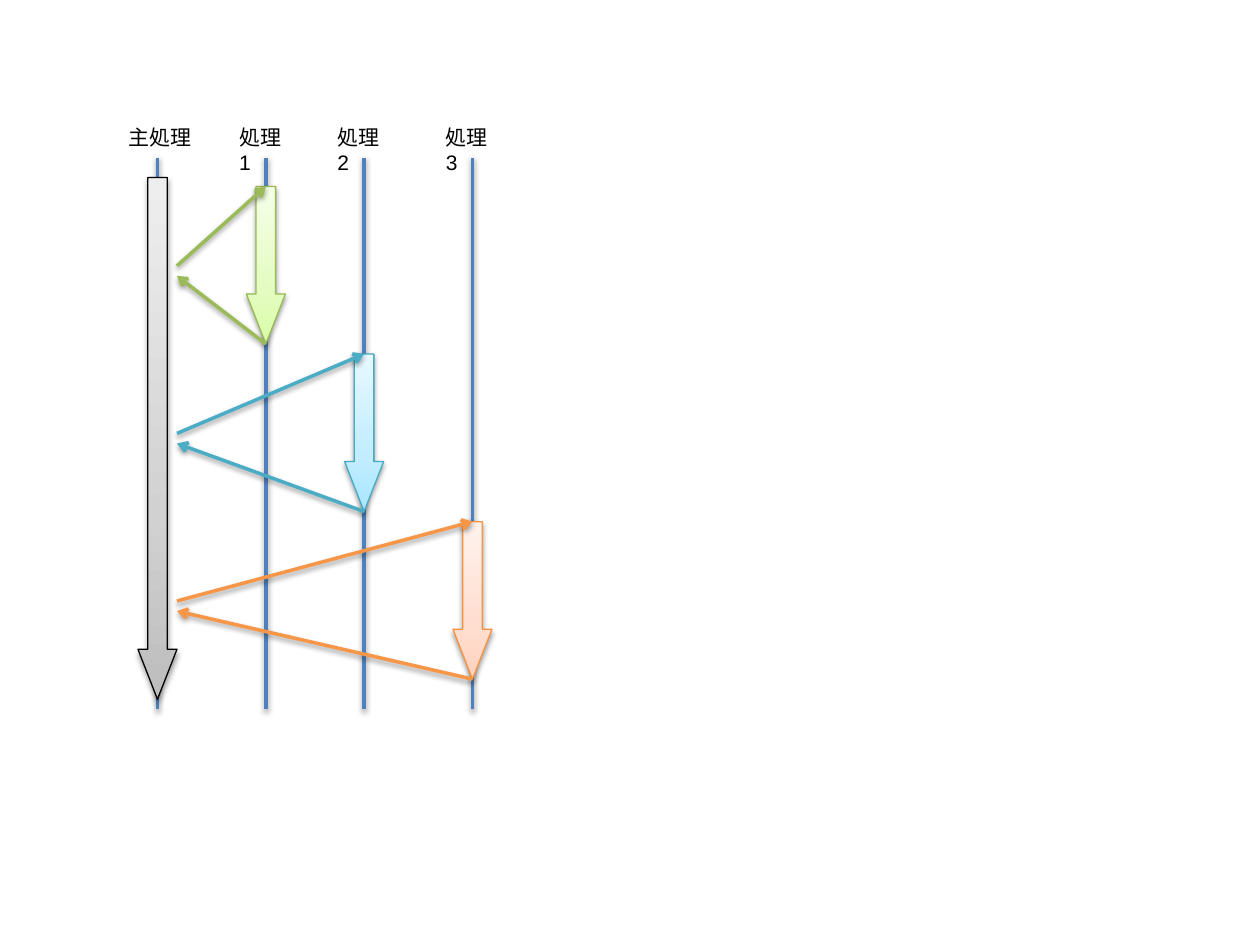
from lxml import etree
from pptx import Presentation
from pptx.dml.color import RGBColor
from pptx.enum.shapes import MSO_CONNECTOR, MSO_SHAPE
from pptx.oxml import parse_xml
from pptx.oxml.ns import nsdecls, qn
from pptx.util import Inches, Pt

STRAIGHT = MSO_CONNECTOR.STRAIGHT
DOWN_ARROW = MSO_SHAPE.DOWN_ARROW

# Content: the main lane, then each called lane
# (label, lane x, label width, message colour, bar outline, bar gradient from the bottom up)
MAIN = ("主処理", 1.25, 0.72, None, "000000", ("BDBDBD", "D1D1D1", "EEEEEE"))
CALLED = [
    ("処理1", 2.11, 0.62, "9BBB59", "98B955", ("DAFDA7", "E4FCC2", "F5FFE7")),
    ("処理2", 2.89, 0.62, "4BACC6", "46AAC5", ("A7E6FF", "C1EDFF", "E7F8FF")),
    ("処理3", 3.75, 0.62, "F79646", "F69240", ("FFD2BD", "FFDED0", "FFF2ED")),
]

THEME = {
    "font": "Arial", "size": 12, "text": "000000", "lifeline": "4F81BD",
    "line": 2, "outline": 0.75, "stops": (0, 35, 100),
}

# Layout in inches
LIFE_TOP, LIFE_BOTTOM = 1.25, 5.63
LABEL_TOP, LABEL_H = 0.94, 0.3
BAR_W, MAIN_TOP, MAIN_H = 0.31, 1.41, 4.14
CALL_TOP, CALL_H, CALL_STEP = 1.48, 1.25, 1.33
SEND_DY, REPLY_DY = 0.63, 0.71
MAIN_EDGE = MAIN[1] + BAR_W / 2


def add_shadow(s):
    s._element.spPr.append(parse_xml(
        f'<a:effectLst {nsdecls("a")}><a:outerShdw blurRad="40000" dist="20000" '
        'dir="5400000" rotWithShape="0"><a:srgbClr val="000000">'
        '<a:alpha val="38000"/></a:srgbClr></a:outerShdw></a:effectLst>'))


def add_line(shapes, start, end, color, arrow=False):
    s = shapes.add_connector(STRAIGHT, *(Inches(v) for v in (*start, *end)))
    s.line.color.rgb = RGBColor.from_string(color)
    s.line.width = Pt(THEME["line"])
    if arrow:
        ln = s.line._get_or_add_ln()
        etree.SubElement(ln, qn("a:tailEnd")).set("type", "arrow")
    add_shadow(s)


def add_bar(shapes, x, top, height, outline, colors):
    s = shapes.add_shape(DOWN_ARROW, Inches(x - BAR_W / 2), Inches(top),
                         Inches(BAR_W), Inches(height))
    s.adjustments[0], s.adjustments[1] = 0.5, 1.28
    s.line.color.rgb = RGBColor.from_string(outline)
    s.line.width = Pt(THEME["outline"])
    stops = "".join(
        f'<a:gs pos="{pos * 1000}"><a:srgbClr val="{color}"/></a:gs>'
        for pos, color in zip(THEME["stops"], colors))
    s.line._get_or_add_ln().addprevious(parse_xml(
        f'<a:gradFill {nsdecls("a")} rotWithShape="1"><a:gsLst>{stops}</a:gsLst>'
        '<a:lin ang="16200000" scaled="0"/></a:gradFill>'))
    add_shadow(s)


def add_text(shapes, text, *, x, width, size=THEME["size"], color=THEME["text"]):
    s = shapes.add_textbox(Inches(x - width / 2), Inches(LABEL_TOP),
                           Inches(width), Inches(LABEL_H))
    tf = s.text_frame
    tf.word_wrap = True
    r = tf.paragraphs[0].add_run()
    r.text = text
    r.font.name = THEME["font"]
    r.font.size = Pt(size)
    r.font.color.rgb = RGBColor.from_string(color)


def main():
    prs = Presentation()
    prs.slide_width, prs.slide_height = Inches(10), Inches(7.5)
    shapes = prs.slides.add_slide(prs.slide_layouts[6]).shapes
    lanes = [MAIN, *CALLED]

    # Lifelines
    for lane in lanes:
        add_line(shapes, (lane[1], LIFE_TOP), (lane[1], LIFE_BOTTOM), THEME["lifeline"])

    # Activity bars
    tops = [CALL_TOP + i * CALL_STEP for i in range(len(CALLED))]
    add_bar(shapes, MAIN[1], MAIN_TOP, MAIN_H, *MAIN[4:])
    for lane, top in zip(CALLED, tops):
        add_bar(shapes, lane[1], top, CALL_H, *lane[4:])

    # Call and reply messages
    for (_, x, _, color, *_), top in zip(CALLED, tops):
        add_line(shapes, (MAIN_EDGE, top + SEND_DY), (x, top), color, arrow=True)
        add_line(shapes, (x, top + CALL_H), (MAIN_EDGE, top + REPLY_DY), color, arrow=True)

    # Lane labels
    for text, x, width, *_ in lanes:
        add_text(shapes, text, x=x + 0.03 if text == MAIN[0] else x, width=width)

    prs.save("out.pptx")


if __name__ == "__main__":
    main()
